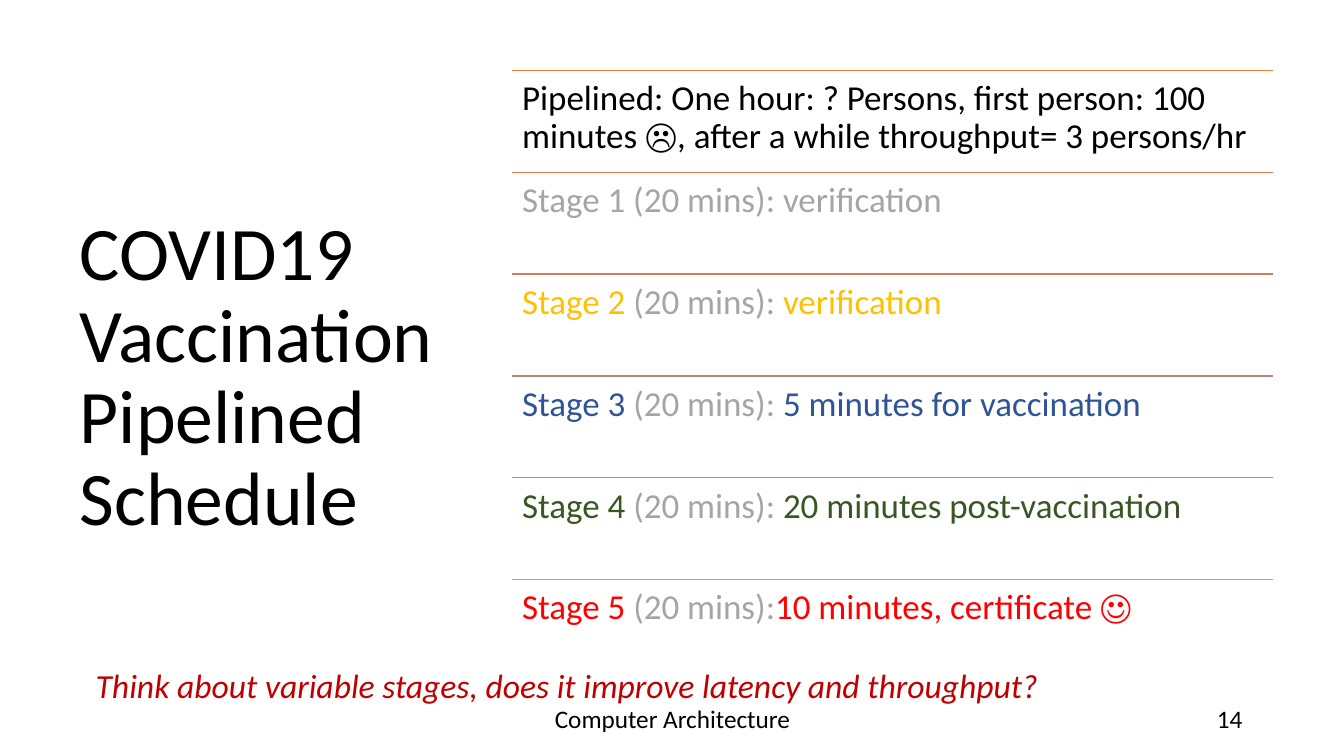
from lxml import etree
from pptx import Presentation
from pptx.dml.color import RGBColor
from pptx.enum.shapes import MSO_CONNECTOR
from pptx.enum.text import MSO_ANCHOR, MSO_AUTO_SIZE, PP_ALIGN
from pptx.oxml.ns import qn
from pptx.util import Inches, Pt

STRAIGHT = MSO_CONNECTOR.STRAIGHT
TOP, MIDDLE = MSO_ANCHOR.TOP, MSO_ANCHOR.MIDDLE
NO_FIT = MSO_AUTO_SIZE.NONE
LEFT, CENTER, RIGHT = PP_ALIGN.LEFT, PP_ALIGN.CENTER, PP_ALIGN.RIGHT

BLACK = RGBColor(0x00, 0x00, 0x00)
GRAY = RGBColor(0xA5, 0xA5, 0xA5)
GOLD = RGBColor(0xFF, 0xC0, 0x00)
BLUE = RGBColor(0x2F, 0x55, 0x97)
GREEN = RGBColor(0x38, 0x57, 0x23)
RED = RGBColor(0xFF, 0x00, 0x00)
DARK_RED = RGBColor(0xC0, 0x00, 0x00)
ORANGE = RGBColor(0xED, 0x7D, 0x31)
COPPER = RGBColor(0xDC, 0x7A, 0x4B)
CLAY = RGBColor(0xCC, 0x7D, 0x64)
ROSE = RGBColor(0xBD, 0x86, 0x7B)
TAUPE = RGBColor(0xB0, 0x93, 0x91)

FONT = "Calibri"
ROW_LEFT, ROW_TOP, ROW_WIDTH, ROW_HEIGHT = 5.08, 0.7, 7.55, 1.01

SCHEDULE = [
    (ORANGE, [("Pipelined: One hour: ? Persons, first person: 100 minutes ☹, "
               "after a while throughput= 3 persons/hr", BLACK)]),
    (COPPER, [("Stage 1 (20 mins): verification", GRAY)]),
    (CLAY, [("Stage 2 ", GOLD), ("(20 mins): ", GRAY), ("verification", GOLD)]),
    (ROSE, [("Stage 3 ", BLUE), ("(20 mins): ", GRAY),
            ("5 minutes for vaccination", BLUE)]),
    (TAUPE, [("Stage 4 ", GREEN), ("(20 mins): ", GRAY),
             ("20 minutes post-vaccination", GREEN)]),
    (GRAY, [("Stage 5 ", RED), ("(20 mins):", GRAY),
            ("10 minutes, certificate ☺", RED)]),
]


def format_paragraph(paragraph, size, align=LEFT, line_spacing=0.9):
    paragraph.alignment = align
    paragraph.line_spacing = line_spacing
    paragraph.font.name = FONT
    paragraph.font.size = Pt(size)


def add_title(slide, text):
    title = slide.shapes.title
    title.left, title.top = Inches(0.69), Inches(0.7)
    title.width, title.height = Inches(3.74), Inches(6.11)
    frame = title.text_frame
    frame.text = text
    frame.auto_size = NO_FIT
    frame.vertical_anchor = MIDDLE
    format_paragraph(frame.paragraphs[0], 54)
    frame.paragraphs[0].font.color.rgb = BLACK


def add_text(slide, left, top, width, height, runs, size, anchor=TOP, **layout):
    box = slide.shapes.add_textbox(
        Inches(left), Inches(top), Inches(width), Inches(height))
    frame = box.text_frame
    frame.word_wrap = True
    frame.vertical_anchor = anchor
    paragraph = frame.paragraphs[0]
    format_paragraph(paragraph, size, **layout)
    if len(runs) == 1:
        paragraph.font.color.rgb = runs[0][1]
    for text, color in runs:
        run = paragraph.add_run()
        run.text = text
        if len(runs) > 1:
            run.font.color.rgb = color
    return frame


def add_rule(slide, top, color):
    rule = slide.shapes.add_connector(
        STRAIGHT, Inches(ROW_LEFT), Inches(top),
        Inches(ROW_LEFT + ROW_WIDTH), Inches(top))
    rule.line.color.rgb = color
    rule.line.width = Pt(1)
    etree.SubElement(rule._element.spPr, qn("a:effectLst"))


def add_schedule(slide):
    for index, (rule_color, runs) in enumerate(SCHEDULE):
        top = ROW_TOP + index * ROW_HEIGHT
        add_rule(slide, top, rule_color)
        row = add_text(slide, ROW_LEFT, top, ROW_WIDTH, ROW_HEIGHT, runs, 25)
        row.margin_top = row.margin_bottom = Inches(0.1)


def main():
    prs = Presentation()
    prs.slide_width, prs.slide_height = Inches(13.33), Inches(7.5)
    slide = prs.slides.add_slide(prs.slide_layouts[5])

    add_title(slide, "COVID19 Vaccination Pipelined Schedule")
    add_text(slide, 4.42, 6.95, 4.5, 0.4, [("Computer Architecture", BLACK)],
             18, MIDDLE, align=CENTER)
    add_text(slide, 9.42, 6.95, 3, 0.4, [("14", BLACK)],
             18, MIDDLE, align=RIGHT)
    add_schedule(slide)
    question = add_text(
        slide, 0.85, 6.55, 9.65, 0.5,
        [("Think about variable stages, does it improve latency and throughput?",
          DARK_RED)], 24, line_spacing=1.0)
    question.word_wrap = False
    question.paragraphs[0].font.italic = True

    prs.save("out.pptx")


if __name__ == "__main__":
    main()
